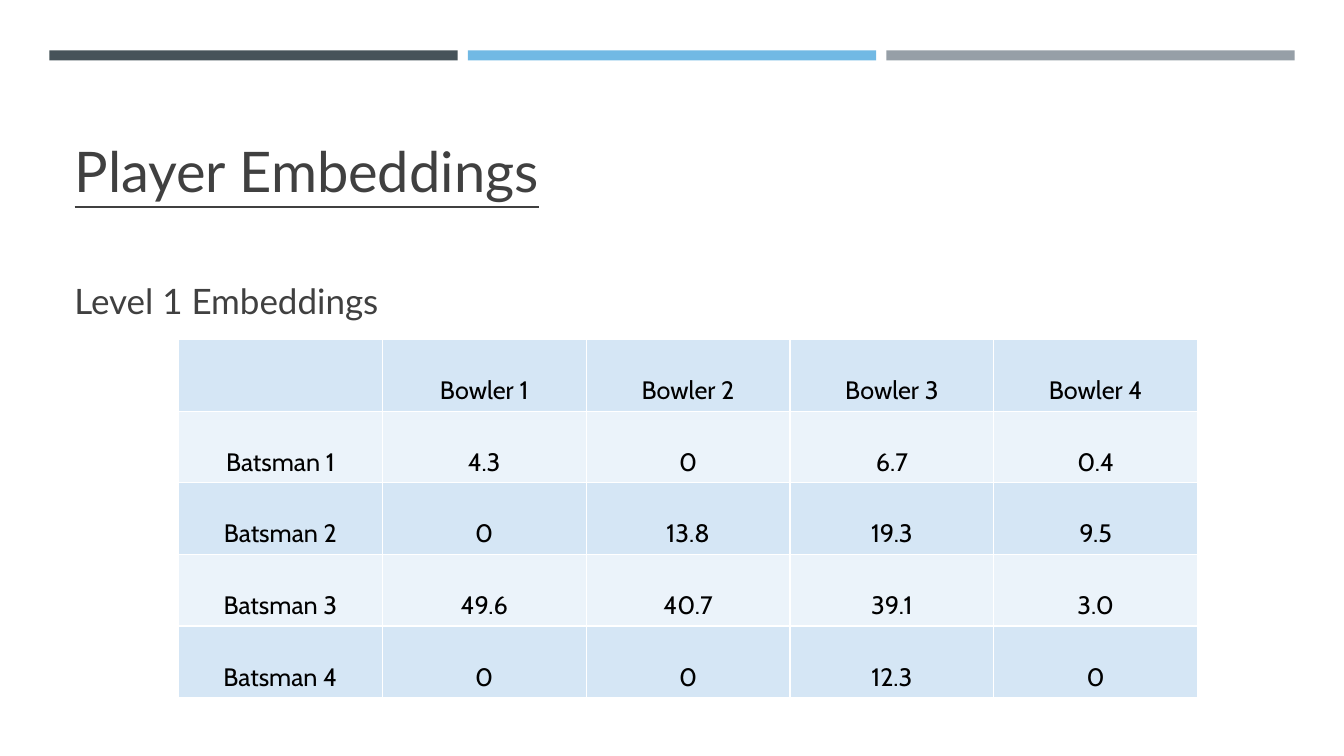
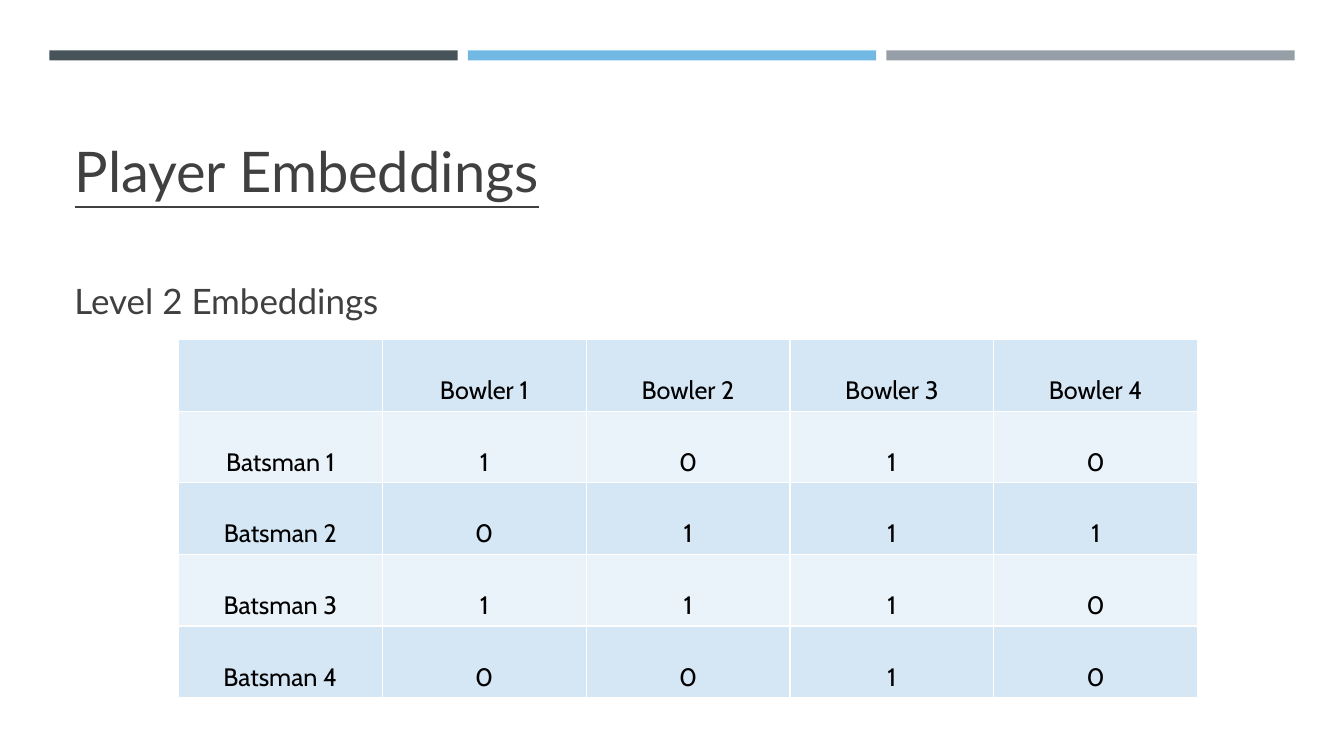
from dataclasses import dataclass

from lxml.etree import SubElement
from pptx import Presentation
from pptx.dml.color import RGBColor
from pptx.enum.shapes import MSO_SHAPE
from pptx.enum.text import MSO_ANCHOR, MSO_AUTO_SIZE, PP_ALIGN
from pptx.oxml.ns import qn
from pptx.util import Inches, Pt


@dataclass(frozen=True)
class Theme:
    bands: tuple = ("465359", "71B9E4", "969FA7")
    row_fills: tuple = ("D5E6F5", "EBF3FA")
    text: str = "404040"
    cell_text: str = "000000"
    border: str = "FFFFFF"
    border_width: int = Pt(1)
    heading_font: str = "Lato"
    table_font: str = "Cabin"
    title_size: int = Pt(40)
    subtitle_size: int = Pt(25)
    cell_size: int = Pt(18)


THEME = Theme()
TITLE_BOX = (0.64, 0.77, 12.06, 1.3)
SUBTITLE_BOX = (0.64, 2.56, 12.06, 0.81)
TABLE_BOX = (1.77, 3.37, 10.11, 3.55)
BAND_BOX = (0.49, 0.5, 12.35, 0.1)
BAND_GAP = 0.1

TITLE = "Player Embeddings"
BOWLERS = [f"Bowler {number}" for number in range(1, 5)]
LEVELS = {
    "Level 1 Embeddings": [
        ["4.3", "0", "6.7", "0.4"],
        ["0", "13.8", "19.3", "9.5"],
        ["49.6", "40.7", "39.1", "3.0"],
        ["0", "0", "12.3", "0"],
    ],
    "Level 2 Embeddings": [
        ["1", "0", "1", "0"],
        ["0", "1", "1", "1"],
        ["1", "1", "1", "0"],
        ["0", "0", "1", "0"],
    ],
}


def set_attributes(target, formats):
    for name, value in formats.items():
        setattr(target, name, value)


def set_font(paragraph, color, **formats):
    set_attributes(paragraph.font, formats)
    paragraph.font.color.rgb = RGBColor.from_string(color)


def add_master_bands(presentation, slide, box):
    """Draw the colour bands on the slide, then move them to its master."""
    left, top, width, height = box
    band_width = (width - BAND_GAP * (len(THEME.bands) - 1)) / len(THEME.bands)
    master_tree = presentation.slide_master.shapes.element
    for index, color in enumerate(THEME.bands):
        band_left = left + index * (band_width + BAND_GAP)
        band = slide.shapes.add_shape(
            MSO_SHAPE.RECTANGLE, Inches(band_left), Inches(top),
            Inches(band_width), Inches(height))
        band.name = f"Band {index + 1}"
        band.shadow.inherit = False
        band.fill.solid()
        band.fill.fore_color.rgb = RGBColor.from_string(color)
        band.line.fill.background()
        band.element.nvSpPr.cNvPr.id = 101 + index
        master_tree.insert(2 + index, band.element)


def fill_heading(shape, text, anchor, **font_formats):
    """Write one left-aligned heading line in a title or text box."""
    frame = shape.text_frame
    set_attributes(frame, {"text": text, "word_wrap": True,
                           "auto_size": MSO_AUTO_SIZE.NONE,
                           "vertical_anchor": anchor})
    paragraph = frame.paragraphs[0]
    paragraph.alignment = PP_ALIGN.LEFT
    set_font(paragraph, THEME.text, name=THEME.heading_font, **font_formats)
    return paragraph


def add_title(slide, box, text):
    title = slide.shapes.title
    for name, value in zip(("left", "top", "width", "height"), box):
        setattr(title, name, Inches(value))
    fill_heading(title, text, MSO_ANCHOR.BOTTOM,
                 size=THEME.title_size, underline=True)


def add_subtitle(slide, box, text):
    subtitle = slide.shapes.add_textbox(*map(Inches, box))
    paragraph = fill_heading(subtitle, text, MSO_ANCHOR.MIDDLE,
                             size=THEME.subtitle_size)
    set_attributes(paragraph, {"line_spacing": 1.1, "space_after": Pt(6)})


def set_borders(cell):
    properties = cell._tc.get_or_add_tcPr()
    for index, side in enumerate(("lnL", "lnR", "lnT", "lnB")):
        line = SubElement(properties, qn(f"a:{side}"), w=str(THEME.border_width))
        fill = SubElement(line, qn("a:solidFill"))
        SubElement(fill, qn("a:srgbClr"), val=THEME.border)
        properties.insert(index, line)


def format_cell(cell, text, fill_color):
    set_attributes(cell, {"text": text, "vertical_anchor": MSO_ANCHOR.BOTTOM})
    cell.fill.solid()
    cell.fill.fore_color.rgb = RGBColor.from_string(fill_color)
    set_borders(cell)
    paragraph = cell.text_frame.paragraphs[0]
    paragraph.alignment = PP_ALIGN.CENTER
    set_font(paragraph, THEME.cell_text, name=THEME.table_font,
             size=THEME.cell_size, bold=False)


def add_embedding_table(slide, box, values):
    rows = [["", *BOWLERS]]
    rows += [[f"Batsman {number}", *row] for number, row in enumerate(values, 1)]
    table = slide.shapes.add_table(
        len(rows), len(rows[0]), *map(Inches, box)).table
    set_attributes(table, {"first_row": False, "horz_banding": False})
    for row_index, row in enumerate(rows):
        fill_color = THEME.row_fills[row_index % len(THEME.row_fills)]
        for column_index, text in enumerate(row):
            format_cell(table.cell(row_index, column_index), text, fill_color)


def add_embedding_slide(presentation, subtitle, values):
    title_only = presentation.slide_layouts.get_by_name("Title Only")
    slide = presentation.slides.add_slide(title_only)
    add_title(slide, TITLE_BOX, TITLE)
    add_embedding_table(slide, TABLE_BOX, values)
    add_subtitle(slide, SUBTITLE_BOX, subtitle)
    return slide


def main():
    presentation = Presentation()
    presentation.slide_width = Inches(13.33)
    presentation.slide_height = Inches(7.5)
    slides = [add_embedding_slide(presentation, subtitle, values)
              for subtitle, values in LEVELS.items()]
    add_master_bands(presentation, slides[0], BAND_BOX)
    presentation.save("out.pptx")


if __name__ == "__main__":
    main()
